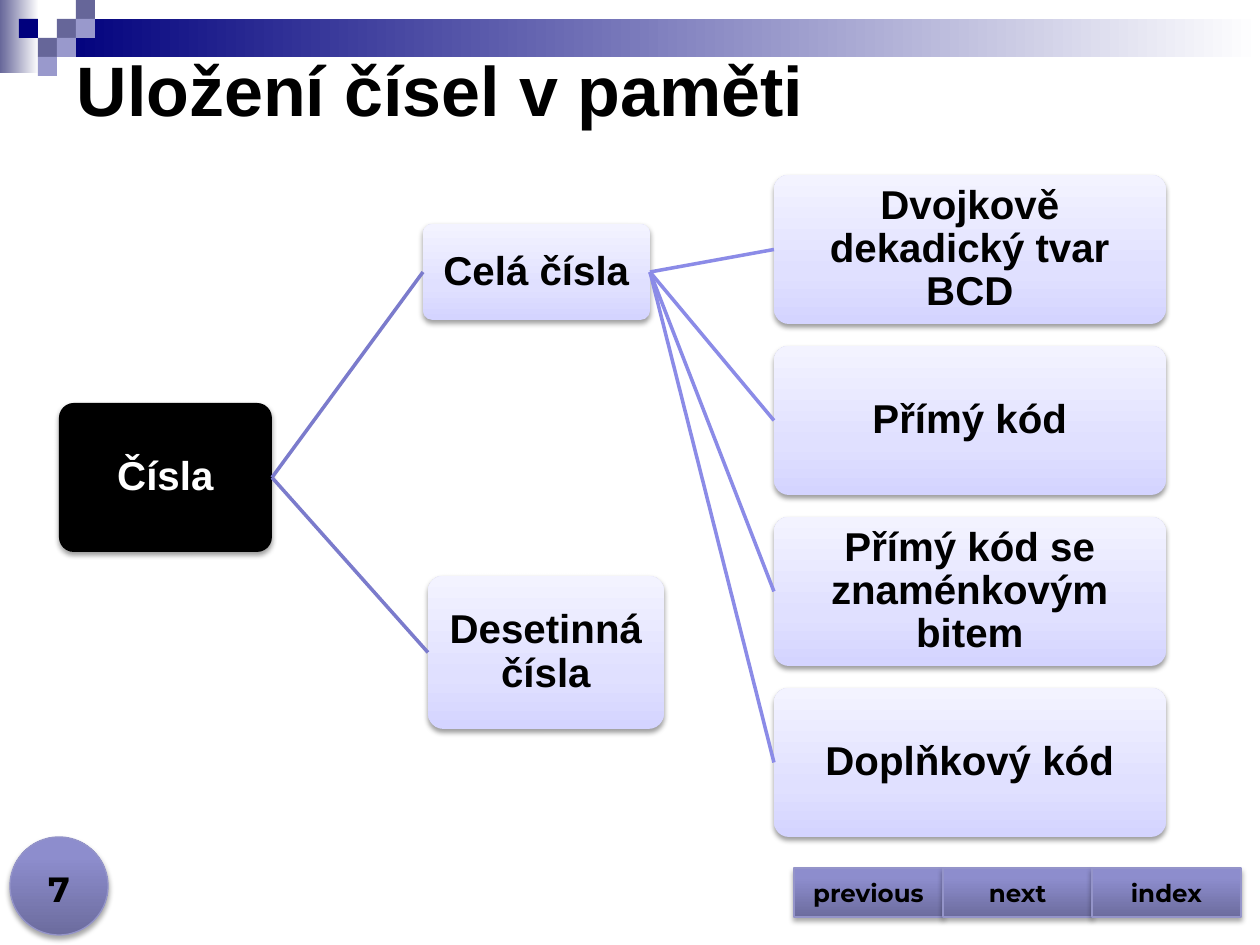
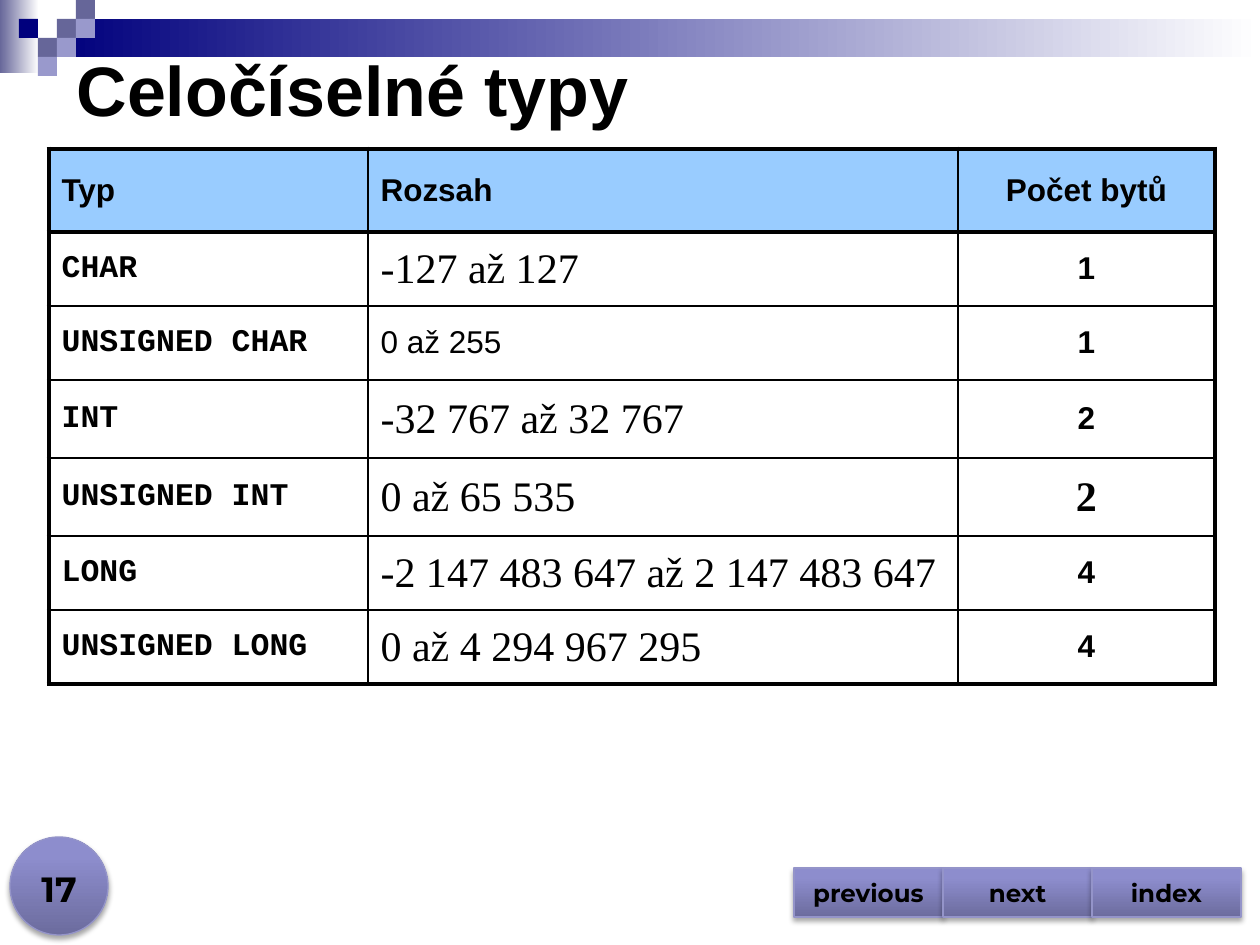
import dataclasses

import pptx
import pptx.dml.color
import pptx.enum.shapes
import pptx.enum.text
import pptx.oxml.ns
import pptx.util
from lxml import etree


@dataclasses.dataclass(frozen=True)
class Theme:
    black: str = "000000"
    white: str = "FFFFFF"
    navy: str = "00007D"
    slate: str = "666699"
    lavender: str = "9999CC"
    header: str = "99CCFF"
    button_line: str = "9494C9"
    root_branch: str = "7B7BCC"
    leaf_branch: str = "8B8BE7"
    button_fill: tuple = ((0, "6C6C9E"), (80, "8D8DCD"), (100, "8C8CCF"))
    node_fill: tuple = ((0, "D4D4FF"), (35, "E0E0FF"), (100, "F3F3FF"))
    button_shadow: tuple = (35, 1.8)
    node_shadow: tuple = (38, 1.6)
    sans: str = "Arial"
    serif: str = "Times New Roman"
    mono: str = "Courier New"
    label: str = "Montserrat"
    title_size: int = 40
    range_size: int = 24
    node_size: int = 23
    number_size: int = 20
    cell_size: int = 18
    button_size: int = 14


theme = Theme()
scale = 914400 / 126
qn = pptx.oxml.ns.qn
RGB = pptx.dml.color.RGBColor.from_string
Pt = pptx.util.Pt
SHAPE = pptx.enum.shapes.MSO_SHAPE
LEFT = pptx.enum.text.PP_ALIGN.LEFT
CENTER = pptx.enum.text.PP_ALIGN.CENTER
MIDDLE = pptx.enum.text.MSO_ANCHOR.MIDDLE


def add_block(page, kind, place, fill, angle=90, line=None, shadow=None):
    block = page.shapes.add_shape(kind, *[round(v * scale) for v in place])
    if isinstance(fill, str):
        block.fill.solid()
        block.fill.fore_color.rgb = RGB(fill)
    else:
        block.fill.gradient()
        block.fill.gradient_angle = angle
        stops = block.element.spPr.find(".//" + qn("a:gsLst"))
        stops.clear()
        for position, color in fill:
            stop = etree.SubElement(stops, qn("a:gs"), pos=str(position * 1000))
            etree.SubElement(stop, qn("a:srgbClr"), val=color)
    if line:
        block.line.color.rgb = RGB(line)
        block.line.width = Pt(0.75)
    else:
        block.line.fill.background()
    block.shadow.inherit = False
    if shadow:
        opacity, distance = shadow
        effects = block.element.spPr.find(qn("a:effectLst"))
        outer = etree.SubElement(effects, qn("a:outerShdw"), blurRad=str(Pt(3.1)),
                                 dist=str(Pt(distance)), dir="5400000", rotWithShape="0")
        color = etree.SubElement(outer, qn("a:srgbClr"), val=theme.black)
        etree.SubElement(color, qn("a:alpha"), val=str(opacity * 1000))
    return block


def write(frame, text, font, size, align=CENTER, color=theme.black, bold=True):
    frame.word_wrap = True
    frame.vertical_anchor = MIDDLE
    para = frame.paragraphs[0]
    para.text = text
    para.alignment = align
    para.font.name = font
    para.font.size = Pt(size)
    para.font.bold = bold
    para.font.color.rgb = RGB(color)
    return para


deck = pptx.Presentation()
deck.slide_width = round(1260 * scale)
deck.slide_height = round(945 * scale)

square = 19
checkers = [
    (3, 1, theme.slate), (4, 0, theme.slate), (4, 1, theme.lavender),
    (2, 2, theme.slate), (1, 1, theme.navy), (3, 2, theme.lavender),
    (2, 3, theme.lavender),
]
pages = []
for title_text, number in [("Uložení čísel v paměti", "7"), ("Celočíselné typy", "17")]:
    page = deck.slides.add_slide(deck.slide_layouts[5])
    pages.append(page)
    for place, start in [((0, 0, 39, 73), theme.slate), ((57, 19, 1203, 38), theme.navy)]:
        add_block(page, SHAPE.RECTANGLE, place, ((0, start), (100, theme.white)), angle=0)
    for column, row, color in checkers:
        add_block(page, SHAPE.RECTANGLE, (column * square, row * square, square, square), color)

    title = page.shapes.title
    title.left, title.top, title.width, title.height = [
        round(v * scale) for v in (64, 39, 1156, 99)]
    write(title.text_frame, title_text, theme.sans, theme.title_size, LEFT)
    title.text_frame.auto_size = pptx.enum.text.MSO_AUTO_SIZE.NONE

    add_block(page, SHAPE.OVAL, (10, 837, 98, 98), theme.button_fill,
              line=theme.button_line, shadow=theme.button_shadow)
    number_box = page.shapes.add_textbox(*[round(v * scale) for v in (0, 853, 118, 63)])
    write(number_box.text_frame, number, theme.label, theme.number_size)
    number_box.text_frame.vertical_anchor = pptx.enum.text.MSO_ANCHOR.BOTTOM

    for index, caption in enumerate(["previous", "next", "index"]):
        button = add_block(page, SHAPE.ACTION_BUTTON_CUSTOM, (794 + 149 * index, 868, 149, 49),
                           theme.button_fill, line=theme.button_line, shadow=theme.button_shadow)
        write(button.text_frame, caption, theme.label, theme.button_size)

tree_page, types_page = pages

leaves = ["Dvojkově dekadický tvar\vBCD", "Přímý kód", "Přímý kód se znaménkovým bitem",
          "Doplňkový kód"]
nodes = [
    ("Čísla", (59, 403, 213, 149), None),
    ("Celá čísla", (423, 224, 227, 96), "Čísla"),
    ("Desetinná čísla", (428, 576, 236, 153), "Čísla"),
]
for index, leaf in enumerate(leaves):
    nodes.append((leaf, (774, 175 + 171 * index, 392, 149), "Celá čísla"))

drawn = {}
for text, place, parent in nodes:
    node = add_block(tree_page, SHAPE.ROUNDED_RECTANGLE, place,
                     theme.node_fill if parent else theme.black, shadow=theme.node_shadow)
    node.adjustments[0] = 0.1
    frame = node.text_frame
    frame.margin_left = frame.margin_right = round(6 * scale)
    frame.margin_top = frame.margin_bottom = round(6 * scale)
    para = write(frame, text, theme.sans, theme.node_size,
                 color=theme.black if parent else theme.white)
    para.line_spacing = 0.9
    drawn[text] = node
    if parent:
        branch = tree_page.shapes.add_connector(
            pptx.enum.shapes.MSO_CONNECTOR.STRAIGHT, 0, 0, 0, 0)
        branch.begin_connect(drawn[parent], 3)
        branch.end_connect(node, 1)
        branch.line.color.rgb = RGB(theme.root_branch if parent == "Čísla" else theme.leaf_branch)
        branch.line.width = Pt(2)
        etree.SubElement(branch.element.spPr, qn("a:effectLst"))

number_types = [
    ("Typ", "Rozsah", "Počet bytů"),
    ("CHAR", "-127 až 127", "1"),
    ("UNSIGNED CHAR", "0 až 255", "1"),
    ("INT", "-32 767 až 32 767", "2"),
    ("UNSIGNED INT", "0 až 65 535", "2"),
    ("LONG", "-2 147 483 647 až 2 147 483 647", "4"),
    ("UNSIGNED LONG", "0 až 4 294 967 295", "4"),
]
column_widths = [319, 590, 257]
row_heights = [83, 74, 74, 78, 78, 74, 74]
last_row, last_column = len(row_heights) - 1, len(column_widths) - 1
special_fonts = {
    (2, 1): (theme.sans, theme.cell_size),
    (4, 2): (theme.serif, theme.range_size),
}
body_fonts = [(theme.mono, theme.cell_size), (theme.serif, theme.range_size),
              (theme.sans, theme.cell_size)]

table = types_page.shapes.add_table(
    len(row_heights), len(column_widths),
    *[round(v * scale) for v in (49, 149, sum(column_widths), sum(row_heights))]).table
table.first_row = table.horz_banding = False
for column, width in zip(table.columns, column_widths):
    column.width = round(width * scale)
for row, height in zip(table.rows, row_heights):
    row.height = round(height * scale)

for r, values in enumerate(number_types):
    for c, value in enumerate(values):
        cell = table.cell(r, c)
        thick_sides = {"L": c == 0, "R": c == last_column, "T": r < 2, "B": r in (0, last_row)}
        properties = cell._tc.get_or_add_tcPr()
        for side, thick in thick_sides.items():
            border = etree.SubElement(properties, qn("a:ln" + side), w=str(Pt(3 if thick else 1)))
            paint = etree.SubElement(border, qn("a:solidFill"))
            etree.SubElement(paint, qn("a:srgbClr"), val=theme.black)
        if r == 0:
            cell.fill.solid()
            cell.fill.fore_color.rgb = RGB(theme.header)
            font, size = theme.sans, theme.cell_size
        else:
            cell.fill.background()
            font, size = special_fonts.get((r, c), body_fonts[c])
        write(cell.text_frame, value, font, size, CENTER if c == last_column else LEFT,
              bold=r == 0 or c != 1)
        cell.vertical_anchor = MIDDLE

deck.save("out.pptx")
